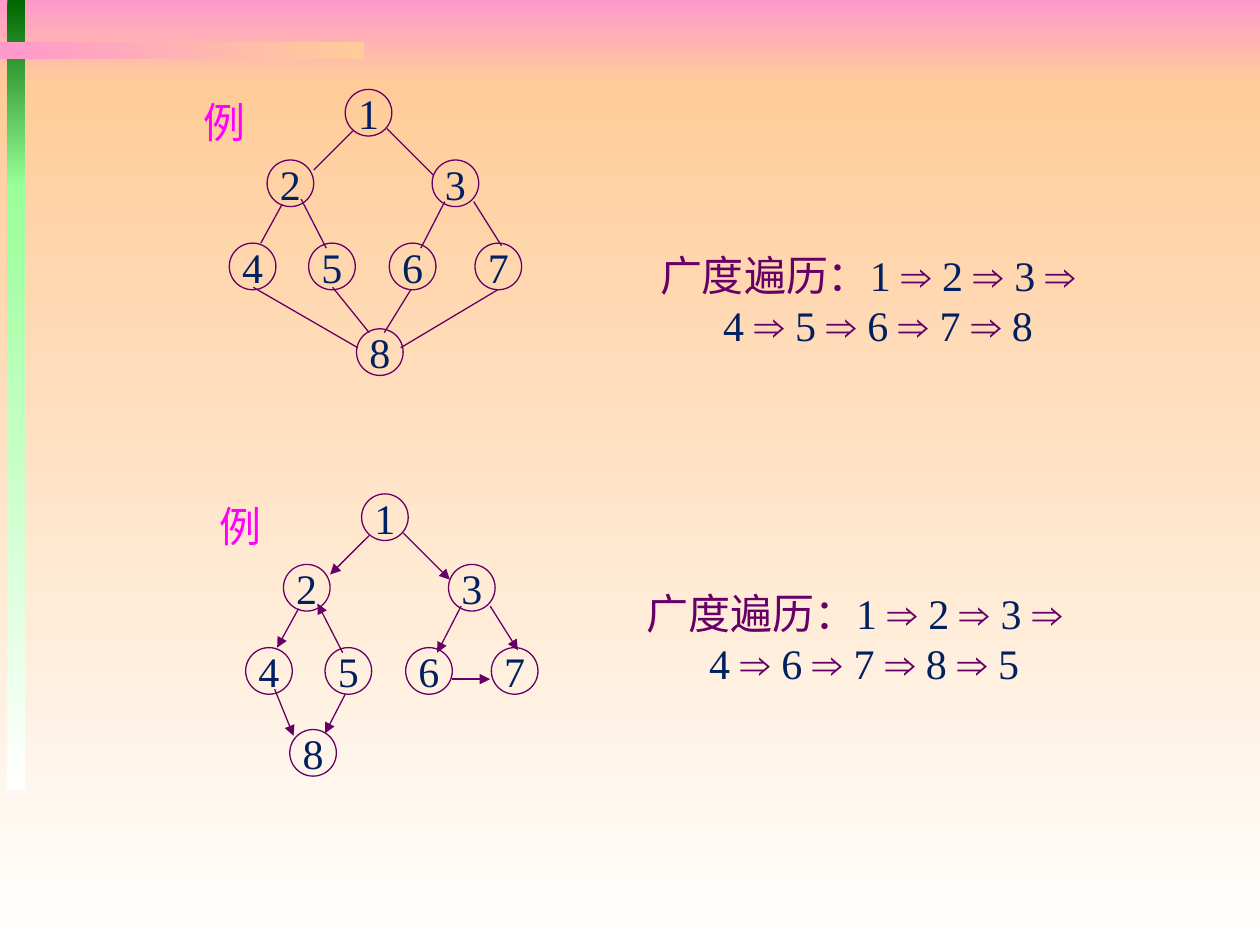
from lxml.etree import SubElement
from pptx import Presentation
from pptx.dml.color import RGBColor
from pptx.enum.shapes import MSO_CONNECTOR, MSO_SHAPE
from pptx.enum.text import MSO_ANCHOR, PP_ALIGN
from pptx.oxml.ns import qn
from pptx.util import Inches, Pt

PINK = RGBColor(0xFF, 0x99, 0xCC)
PEACH = RGBColor(0xFF, 0xCC, 0x99)
WHITE = RGBColor(0xFF, 0xFF, 0xFF)
GREEN = RGBColor(0x00, 0x66, 0x00)
MINT = RGBColor(0x99, 0xFF, 0x99)
PURPLE = RGBColor(0x66, 0x00, 0x66)
NAVY = RGBColor(0x00, 0x20, 0x60)
MAGENTA = RGBColor(0xFF, 0x00, 0xFF)


def write_text(para, text, color=NAVY, size=24, font="Times New Roman", align=None):
    para.alignment = align
    span = para.add_run()
    span.text = text
    span.font.size = Pt(size)
    span.font.name = font
    span.font.color.rgb = color


def draw_edge(group, start, end, arrow):
    edge = group.shapes.add_connector(MSO_CONNECTOR.STRAIGHT, *map(Inches, start + end))
    edge.line.color.rgb = PURPLE
    edge.line.width = Pt(0.75)
    properties = edge.line._get_or_add_ln()
    if arrow:
        SubElement(properties, qn(f"a:{arrow}"), type="triangle")
    SubElement(properties.getparent(), qn("a:effectLst"))


deck = Presentation()
deck.slide_width = Inches(10)
deck.slide_height = Inches(7.5)
page = deck.slides.add_slide(deck.slide_layouts[6])

bands = [
    (0, 0, 10, 0.67, PINK, PEACH, 270),
    (0, 0.67, 10, 6.83, PEACH, WHITE, 270),
    (0.06, 0, 0.14, 1.48, GREEN, MINT, 270),
    (0.06, 1.46, 0.14, 4.81, MINT, WHITE, 270),
    (0, 0.33, 2.89, 0.14, PINK, PEACH, 0),
]
for left, top, width, height, first, last, angle in bands:
    band = page.shapes.add_shape(
        MSO_SHAPE.RECTANGLE, Inches(left), Inches(top), Inches(width), Inches(height)
    )
    band.shadow.inherit = False
    band.line.fill.background()
    band.fill.gradient()
    band.fill.gradient_angle = angle
    for stop, color in zip(band.fill.gradient_stops, (first, last)):
        stop.color.rgb = color

shared_nodes = {
    "1": (2.74, 0.71), "2": (2.12, 1.27), "4": (1.82, 1.93), "5": (2.45, 1.93),
    "3": (3.43, 1.27), "7": (3.77, 1.93), "6": (3.09, 1.93),
}
shared_edges = [
    ((2.8, 1.04), (2.49, 1.35), "tailEnd"),
    ((3.07, 1.02), (3.44, 1.39), "tailEnd"),
    ((2.24, 1.62), (2.07, 1.93), "tailEnd"),
    ((2.39, 1.58), (2.59, 1.97), "headEnd"),
    ((3.53, 1.6), (3.34, 1.97), "tailEnd"),
    ((3.76, 1.6), (3.98, 1.95), "tailEnd"),
]
undirected_edges = [
    ((2.64, 2.28), (2.93, 2.64), None),
    ((3.26, 2.3), (3.05, 2.64), None),
    ((2.01, 2.28), (2.84, 2.76), None),
    ((3.95, 2.3), (3.18, 2.76), None),
]
directed_edges = [
    ((2.05, 2.26), (2.2, 2.63), "tailEnd"),
    ((2.61, 2.3), (2.45, 2.61), "tailEnd"),
    ((3.46, 2.18), (3.76, 2.18), "tailEnd"),
]
graphs = [
    (0, 0, (2.83, 2.61), undirected_edges, False, (5.14, 1.93), ("123", "45678")),
    (0.13, 3.21, (2.17, 2.58), directed_edges, True, (5.03, 4.61), ("123", "46785")),
]

for dx, dy, last_node, extra_edges, directed, answer_at, order in graphs:
    group = page.shapes.add_group_shape()
    for name, (left, top) in {**shared_nodes, "8": last_node}.items():
        node = group.shapes.add_shape(
            MSO_SHAPE.OVAL, Inches(left + dx), Inches(top + dy), Inches(0.37), Inches(0.37)
        )
        node.shadow.inherit = False
        node.fill.background()
        node.line.color.rgb = PURPLE
        node.line.width = Pt(0.75)
        node.text_frame.word_wrap = False
        node.text_frame.vertical_anchor = MSO_ANCHOR.MIDDLE
        write_text(node.text_frame.paragraphs[0], name, align=PP_ALIGN.CENTER)

    for (x1, y1), (x2, y2), arrow in shared_edges + extra_edges:
        draw_edge(group, (x1 + dx, y1 + dy), (x2 + dx, y2 + dy), arrow if directed else None)

    label = group.shapes.add_textbox(
        Inches(1.51 + dx), Inches(0.71 + dy), Inches(0.54), Inches(0.51)
    )
    label.text_frame.word_wrap = False
    label.text_frame.vertical_anchor = MSO_ANCHOR.MIDDLE
    write_text(label.text_frame.paragraphs[0], "例", color=MAGENTA, align=PP_ALIGN.CENTER)

    answer = page.shapes.add_textbox(*map(Inches, answer_at), Inches(3.8), Inches(0.91))
    answer.text_frame.word_wrap = False
    para = answer.text_frame.paragraphs[0]
    write_text(para, "广度遍历：", color=PURPLE)
    for name in order[0]:
        write_text(para, name)
        write_text(para, " ⇒" if name == order[0][-1] else " ⇒ ", color=PURPLE)
    para = answer.text_frame.add_paragraph()
    para._p.get_or_add_pPr().set("marL", str(Inches(0.5)))
    for name in order[1]:
        if name != order[1][0]:
            write_text(para, " ⇒ ", color=PURPLE)
        write_text(para, name)

deck.save("out.pptx")
